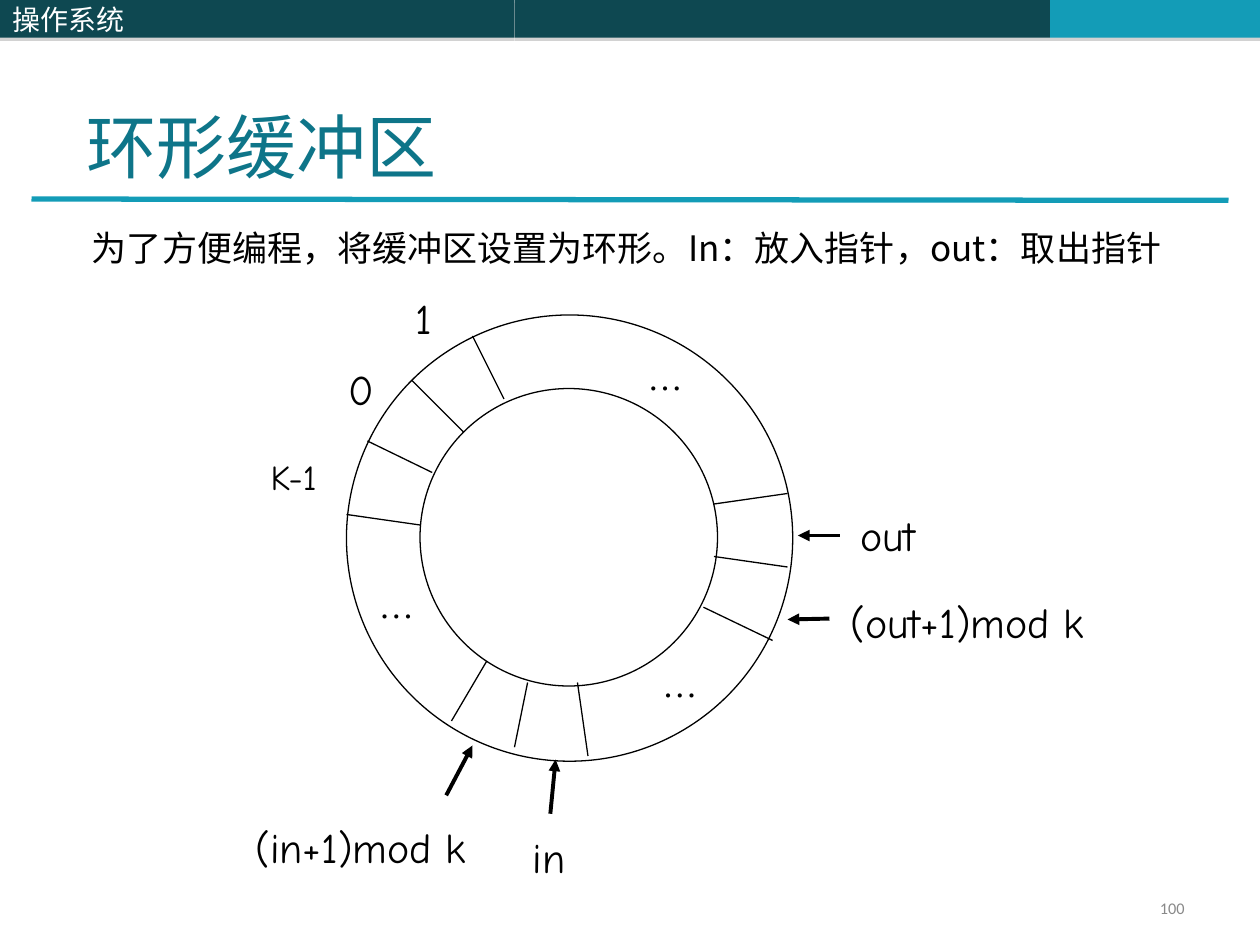
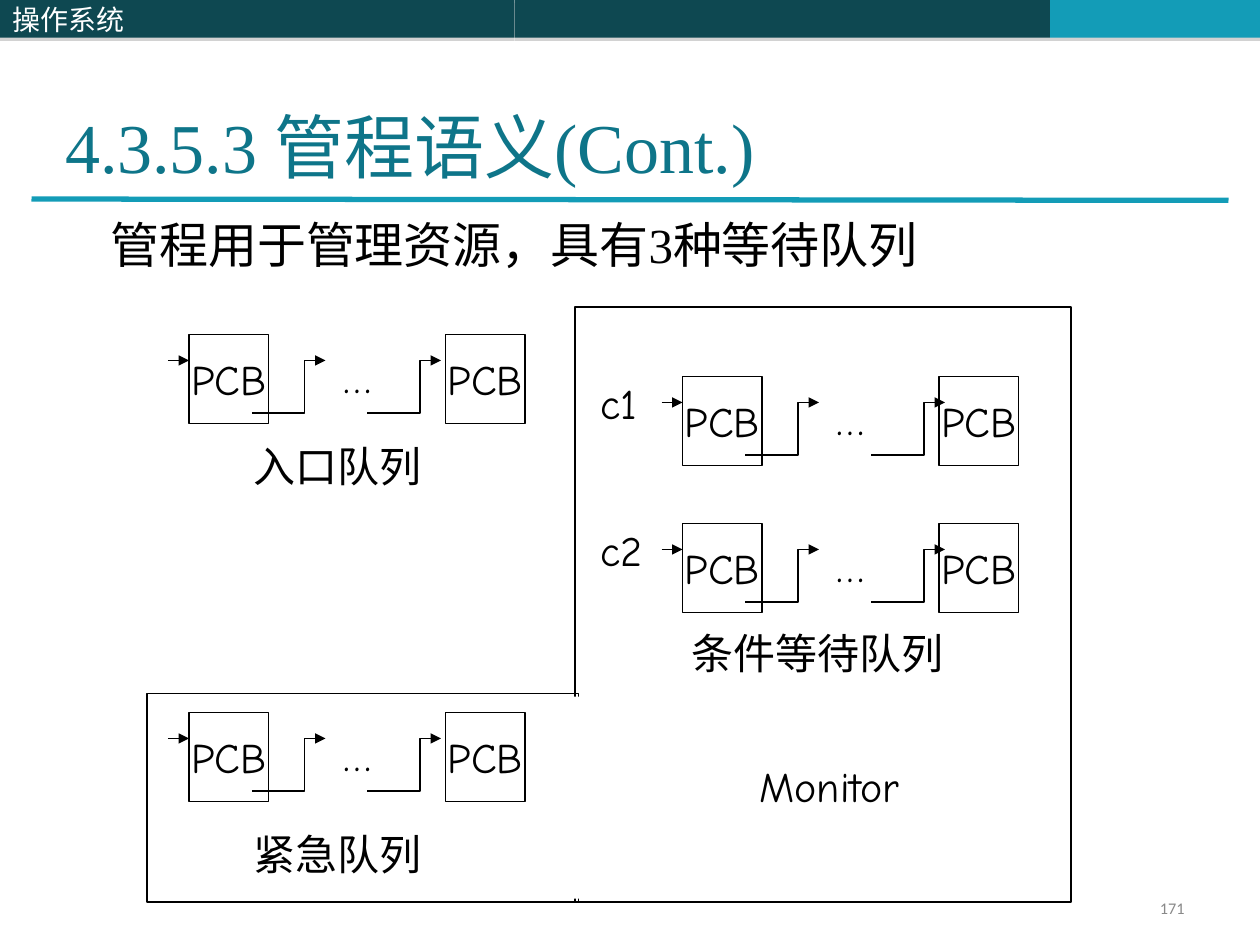
"""Build two operating-systems slides: a ring buffer and the queues of a monitor."""
from dataclasses import dataclass

from lxml import etree
from pptx import Presentation
from pptx.dml.color import RGBColor
from pptx.enum import shapes, text
from pptx.oxml.ns import qn
from pptx.util import Pt


@dataclass(frozen=True)
class Theme:
    dark: str = "0E4851"
    accent: str = "139CB7"
    title: str = "0E7589"
    ink: str = "000000"
    paper: str = "FFFFFF"
    muted: str = "898989"
    shade: str = "808080"
    serif: str = "Times New Roman"
    hand: str = "Comic Neue"
    cjk: str = "Noto Sans CJK SC"
    number: str = "Calibri"
    title_size: float = 40
    lead_size: float = 28
    label_size: float = 24
    small_size: float = 20
    band_size: float = 16
    number_size: float = 9.3
    thin: float = 0.75
    thick: float = 2.25
    rule: float = 3


T = Theme()
ANCHOR, ALIGN, SHAPE = text.MSO_ANCHOR, text.PP_ALIGN, shapes.MSO_SHAPE


def write(sp, words, size=T.label_size, font=T.hand, color=T.ink,
          anchor=ANCHOR.TOP, align=ALIGN.LEFT, wrap=True):
    """Set the text of a shape in one font and return its paragraph."""
    tf = sp.text_frame
    tf.text = words
    tf.word_wrap = wrap
    tf.auto_size = text.MSO_AUTO_SIZE.NONE
    tf.vertical_anchor = anchor
    p = tf.paragraphs[0]
    p.alignment = align
    p.font.size = Pt(size)
    p.font.color.rgb = RGBColor.from_string(color)
    p.font.name = font
    etree.SubElement(p._p.pPr.find(qn("a:defRPr")), qn("a:ea"), typeface=T.cjk)
    return p


def stroke(s, points, width=T.thin, color=T.ink, arrow=False):
    """Draw a straight connector, or an open bent line through more points."""
    xy = [(Pt(x), Pt(y)) for x, y in points]
    if len(xy) == 2:
        sp = s.shapes.add_connector(shapes.MSO_CONNECTOR.STRAIGHT, *xy[0], *xy[1])
        etree.SubElement(sp._element.spPr, qn("a:effectLst"))
    else:
        builder = s.shapes.build_freeform(*xy[0])
        builder.add_line_segments(xy[1:], close=False)
        sp = builder.convert_to_shape()
        sp.fill.background()
        sp.shadow.inherit = False
    sp.line.width = Pt(width)
    sp.line.color.rgb = RGBColor.from_string(color)
    if arrow:
        etree.SubElement(sp.line._get_or_add_ln(), qn("a:tailEnd"), type="triangle")


prs = Presentation()
prs.slide_width, prs.slide_height = Pt(720), Pt(540)

slides = []
for title, number, left, width in (("环形缓冲区", "100", 42.5, 332),
                                   ("4.3.5.3 管程语义(Cont.)", "171", 30, 613.5)):
    s = prs.slides.add_slide(prs.slide_layouts[5])
    slides.append(s)
    for x, w, color, words in ((294, 306, T.dark, ""), (600, 120, T.accent, ""),
                               (0, 294, T.dark, "操作系统")):
        band = s.shapes.add_shape(SHAPE.RECTANGLE, Pt(x), Pt(0), Pt(w), Pt(21.6))
        band.fill.solid()
        band.fill.fore_color.rgb = RGBColor.from_string(color)
        band.line.fill.background()
        band.shadow.inherit = False
        shadow = etree.SubElement(band._element.spPr.find(qn("a:effectLst")), qn("a:outerShdw"),
                                  dist=str(Pt(1.8)), dir="5400000", rotWithShape="0")
        shade = etree.SubElement(shadow, qn("a:srgbClr"), val=T.shade)
        etree.SubElement(shade, qn("a:alpha"), val="35000")
        if words:
            write(band, words, T.band_size, T.cjk, T.paper, ANCHOR.MIDDLE)
    stroke(s, ((18, 113.75), (702, 114.5)), T.rule, T.accent)

    sp = s.shapes.title
    sp.left, sp.top, sp.width, sp.height = Pt(left), Pt(21), Pt(width), Pt(90)
    write(sp, title, T.title_size, T.serif, T.title, ANCHOR.BOTTOM)
    sp = s.shapes.add_textbox(Pt(516), Pt(510), Pt(168), Pt(19.5))
    p = write(sp, number, T.number_size, T.number, T.muted, ANCHOR.MIDDLE, ALIGN.RIGHT)
    p.line_spacing = 0.8

ring, monitor = slides

for x, y, size in ((198, 180, 255), (240, 222, 170)):
    sp = ring.shapes.add_shape(SHAPE.OVAL, Pt(x), Pt(y), Pt(size), Pt(size))
    sp.fill.background()
    sp.line.width = Pt(T.thin)
    sp.line.color.rgb = RGBColor.from_string(T.ink)
    sp.shadow.inherit = False

for divider in (((235.5, 217.5), (265, 247)), ((270, 192), (288, 228)),
                ((210, 252), (247, 270)), ((198, 294), (240, 300)),
                ((408, 318), (450, 324)), ((402, 347), (441.5, 366)),
                ((408, 288), (450, 282)), ((330, 390), (336, 432)),
                ((278, 378), (258, 412)), ((301.5, 390), (294, 427))):
    stroke(ring, divider)

for pointer in (((480, 306), (456, 306)), ((474, 353.5), (450, 354)),
                ((314.5, 465), (317.5, 434)), ((255, 454.5), (270, 426))):
    stroke(ring, pointer, T.thick, arrow=True)

for words, x, y, w, size, font in (
        ("为了方便编程，将缓冲区设置为环形。In：放入指针，out：取出指针",
         45.5, 126, 657, T.small_size, T.cjk),
        ("K-1", 147.5, 257, 57, T.small_size, T.hand),
        ("0", 192, 204, 36, T.label_size, T.hand),
        ("1", 230.5, 163.5, 33, T.label_size, T.hand),
        ("in", 297.5, 471.5, 36, T.label_size, T.hand),
        ("(in+1)mod k", 139, 466, 150, T.label_size, T.hand),
        ("out", 484.5, 287.5, 54, T.label_size, T.hand),
        ("(out+1)mod k", 479, 337.5, 174, T.label_size, T.hand),
        ("…", 209.5, 330, 31, T.small_size, T.serif),
        ("…", 371.5, 375, 31, T.small_size, T.serif),
        ("…", 363, 199.5, 31, T.small_size, T.serif)):
    sp = ring.shapes.add_textbox(Pt(x), Pt(y), Pt(w), Pt(size * 1.5 + 1))
    write(sp, words, size, font)

sp = monitor.shapes.add_textbox(Pt(56), Pt(70), Pt(598), Pt(90))
write(sp, "管程用于管理资源，具有3种等待队列", T.lead_size, T.serif, anchor=ANCHOR.BOTTOM)

queues = ((390, 230, 108), (390, 314, 108), (108, 206, 102), (108, 422, 102))
boxes = [(84, 396.5, 246.5, 119, ""), (328.5, 175.5, 283.5, 340, "")]
for x, y, _ in queues:
    boxes += [(x, y - 15, 45.5, 51, "PCB"), (x + 146.5, y - 15, 45.5, 51, "PCB")]
for x, y, w, h, words in boxes:
    sp = monitor.shapes.add_shape(SHAPE.RECTANGLE, Pt(x), Pt(y), Pt(w), Pt(h))
    sp.fill.background()
    sp.line.width = Pt(T.thin)
    sp.line.color.rgb = RGBColor.from_string(T.ink)
    sp.shadow.inherit = False
    if words:
        write(sp, words, anchor=ANCHOR.MIDDLE, align=ALIGN.CENTER, wrap=False)

opening = monitor.shapes.add_shape(SHAPE.RECTANGLE, Pt(324), Pt(398), Pt(12), Pt(115.5))
opening.fill.solid()
opening.fill.fore_color.rgb = RGBColor.from_string(T.paper)
opening.line.fill.background()
opening.shadow.inherit = False

centred = [("Monitor", 390, 428, 168, 42)]
for x, y, last_link in queues:
    stroke(monitor, ((x - 12, y), (x, y)), arrow=True)
    for start in (x + 36, x + last_link):
        stroke(monitor, ((start, y + 30), (start + 30, y + 30), (start + 30, y), (start + 42, y)),
               arrow=True)
    centred.append(("…", x + 78, y, 36, 18))
for words, x, y, w, h in centred:
    sp = monitor.shapes.add_textbox(Pt(x), Pt(y), Pt(w), Pt(h))
    write(sp, words, anchor=ANCHOR.MIDDLE, align=ALIGN.CENTER, wrap=False)

for words, x, y, w in (("c1", 336, 212, 42), ("c2", 336, 296, 48), ("入口队列", 138, 248, 120),
                       ("紧急队列", 138, 470, 120), ("条件等待队列", 388, 355, 199)):
    sp = monitor.shapes.add_textbox(Pt(x), Pt(y), Pt(w), Pt(36))
    write(sp, words)

prs.save("out.pptx")
